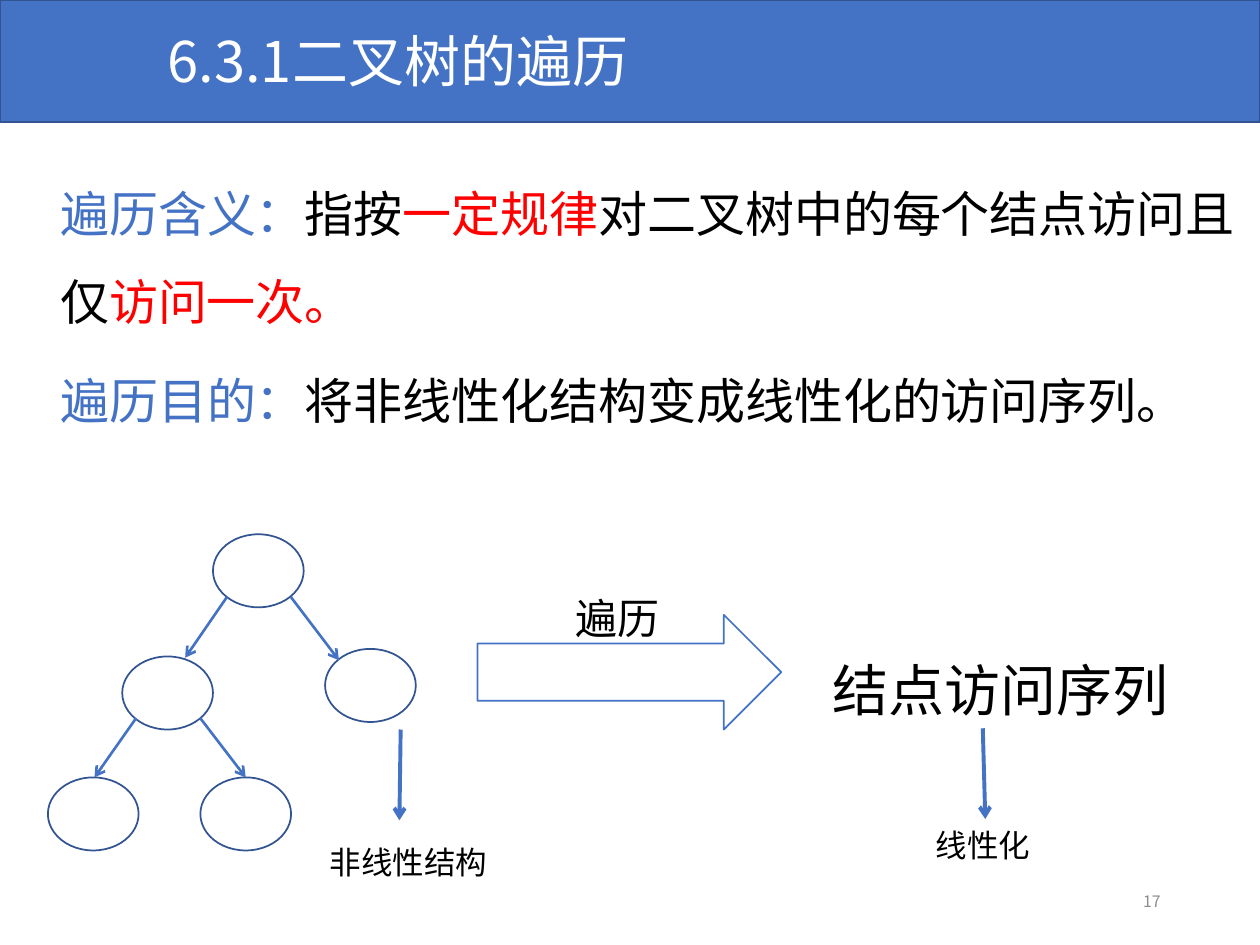
from lxml import etree
from pptx import Presentation
from pptx.dml.color import RGBColor
from pptx.enum.shapes import MSO_CONNECTOR, MSO_SHAPE
from pptx.enum.text import MSO_ANCHOR, PP_ALIGN
from pptx.oxml.ns import qn
from pptx.util import Inches, Pt

FONT = "Noto Sans CJK SC"
COLORS = {
    "blue": "4472C4",
    "outline": "325491",
    "white": "FFFFFF",
    "black": "000000",
    "red": "FF0000",
    "gray": "8C8C8C",
}
RECTANGLE, OVAL, RIGHT_ARROW = MSO_SHAPE.RECTANGLE, MSO_SHAPE.OVAL, MSO_SHAPE.RIGHT_ARROW
STRAIGHT = MSO_CONNECTOR.STRAIGHT
TOP, MIDDLE = MSO_ANCHOR.TOP, MSO_ANCHOR.MIDDLE
LEFT, RIGHT = PP_ALIGN.LEFT, PP_ALIGN.RIGHT

NODE_WIDTH, NODE_HEIGHT = 0.72, 0.58
NODES = [(1.69, 4.24), (0.97, 5.21), (2.58, 5.15), (0.38, 6.17), (1.59, 6.17)]
EDGES = [
    ((1.8, 4.74), (1.47, 5.22)),
    ((2.31, 4.74), (2.69, 5.24)),
    ((1.08, 5.7), (0.75, 6.17)),
    ((1.59, 5.7), (1.95, 6.17)),
]
POINTERS = [((3.18, 5.79), (3.17, 6.51)), ((7.8, 5.78), (7.82, 6.5))]
LABELS = [
    ("遍历", (4.47, 4.65, 1.59, 0.5), 24),
    ("结点访问序列", (6.51, 5.15, 3.09, 0.64), 32),
    ("非线性结构", (2.52, 6.64, 1.64, 0.4), 18),
    ("线性化", (7.33, 6.51, 1.09, 0.4), 18),
]
DEFINITIONS = [
    [
        ("遍历含义：", "blue"),
        ("指按", "black"),
        ("一定规律", "red"),
        ("对二叉树中的每个结点访问且仅", "black"),
        ("访问一次。", "red"),
    ],
    [("遍历目的：", "blue"), ("将非线性化结构变成线性化的访问序列。", "black")],
]


def rgb(name):
    return RGBColor.from_string(COLORS[name])


def apply_format(target, values):
    for name, value in values.items():
        setattr(target, name, value)


def place(shape, box):
    names = ("left", "top", "width", "height")
    apply_format(shape, dict(zip(names, map(Inches, box))))


def add_run(paragraph, text, size, color):
    run = paragraph.add_run()
    run.text = text
    apply_format(run.font, {"name": FONT, "size": Pt(size), "bold": False})
    run.font.color.rgb = rgb(color)
    east_asian = etree.SubElement(run.font._element, qn("a:ea"))
    east_asian.set("typeface", FONT)


def write_text(shape, paragraphs, size, anchor=TOP, **paragraph_format):
    frame = shape.text_frame
    apply_format(frame, {"word_wrap": True, "vertical_anchor": anchor})
    for index, runs in enumerate(paragraphs):
        paragraph = frame.add_paragraph() if index else frame.paragraphs[0]
        apply_format(paragraph, {"alignment": LEFT, **paragraph_format})
        if index:
            paragraph.space_before = Pt(6)
        for text, color in runs:
            add_run(paragraph, text, size, color)


def add_text(slide, box, paragraphs, size, **options):
    text_box = slide.shapes.add_textbox(*map(Inches, box))
    write_text(text_box, paragraphs, size, **options)


def add_outlined_shape(slide, kind, box, fill, line):
    shape = slide.shapes.add_shape(kind, *map(Inches, box))
    shape.shadow.inherit = False
    shape.fill.solid()
    shape.fill.fore_color.rgb = rgb(fill)
    shape.line.color.rgb = rgb(line)
    shape.line.width = Pt(1)
    return shape


def add_arrow(slide, start, end, width):
    arrow = slide.shapes.add_connector(STRAIGHT, *map(Inches, start + end))
    arrow.line.color.rgb = rgb("blue")
    arrow.line.width = Pt(width)
    tail = etree.SubElement(arrow.line._get_or_add_ln(), qn("a:tailEnd"))
    tail.set("type", "arrow")
    etree.SubElement(arrow.element.spPr, qn("a:effectLst"))


def add_header(slide):
    title = slide.shapes.title
    banner = add_outlined_shape(slide, RECTANGLE, (0, 0, 10, 0.97), "blue", "outline")
    title.element.addprevious(banner.element)
    place(title, (1.23, 0.16, 6.97, 0.64))
    write_text(title, [[("6.3.1二叉树的遍历", "white")]], 32)


def add_tree(slide):
    for position in NODES:
        box = position + (NODE_WIDTH, NODE_HEIGHT)
        add_outlined_shape(slide, OVAL, box, "white", "outline")
    for start, end in EDGES:
        add_arrow(slide, start, end, 1.5)


def main():
    presentation = Presentation()
    presentation.slide_width, presentation.slide_height = Inches(10), Inches(7.5)
    slide = presentation.slides.add_slide(presentation.slide_layouts[5])
    add_header(slide)
    add_text(slide, (7.06, 6.95, 2.25, 0.4), [[("17", "gray")]], 9,
             anchor=MIDDLE, alignment=RIGHT)
    add_text(slide, (0.38, 1.17, 9.54, 2.23), DEFINITIONS, 28, line_spacing=1.5)
    add_tree(slide)
    add_outlined_shape(slide, RIGHT_ARROW, (3.79, 4.88, 2.41, 0.91), "white", "blue")
    for start, end in POINTERS:
        add_arrow(slide, start, end, 2.25)
    for text, box, size in LABELS:
        add_text(slide, box, [[(text, "black")]], size)
    presentation.save("out.pptx")


if __name__ == "__main__":
    main()
